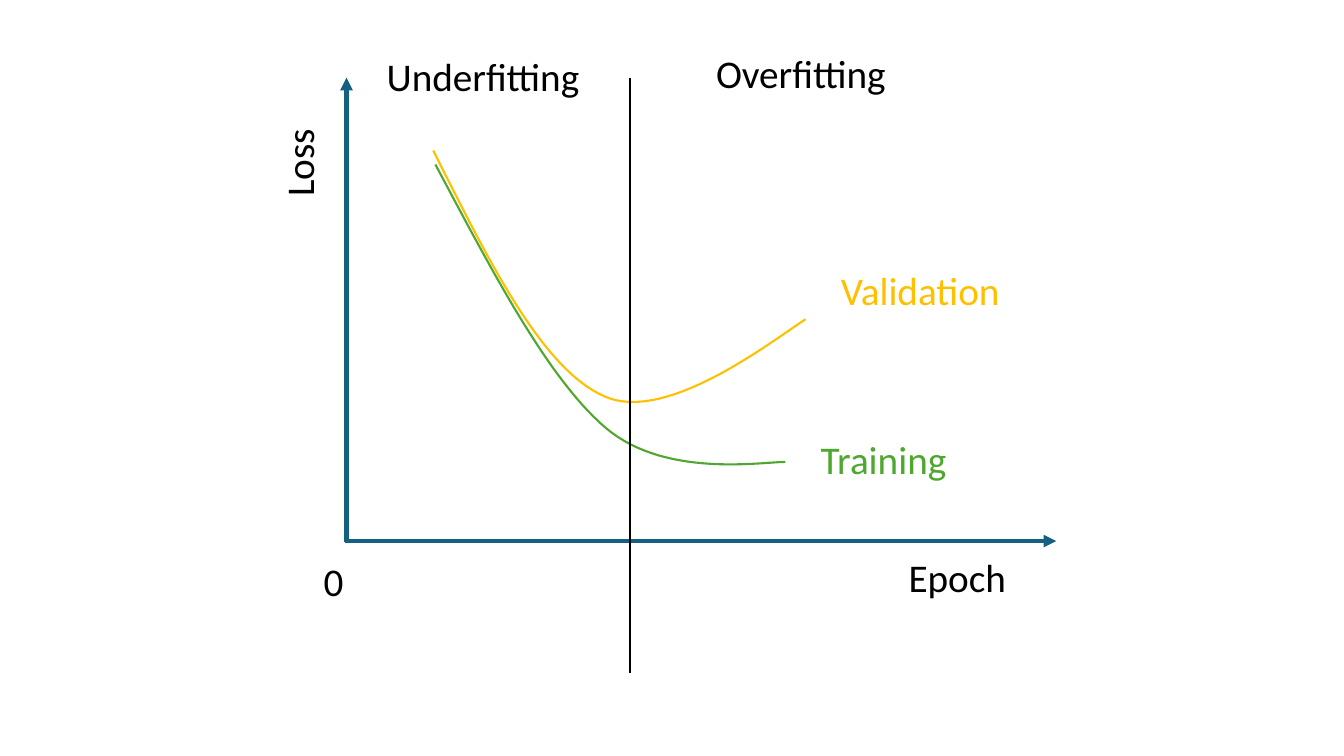
import pptx
import pptx.dml.color
import pptx.enum.shapes
import pptx.enum.text
import pptx.oxml.ns
import pptx.util
from lxml import etree

Pt = pptx.util.Pt
BLACK, AXIS_BLUE = "000000", "156082"
TRAINING_GREEN, VALIDATION_YELLOW = "4EA72E", "FFC000"

# Offsets from the top left of the plot: start, then control, control, end per bend
TRAINING_CURVE = [(63.5, 62), (104, 138), (143.5, 214.5), (185, 250),
                  (227, 286), (296, 274.5), (313.5, 274.5)]
VALIDATION_CURVE = [(62, 52), (101, 129.5), (139, 207.5), (184, 227.5),
                    (227.5, 247.5), (302, 189.5), (328, 172.5)]

# Text, left and top offset from the plot, width, height, colour, rotation
LABELS = [
    ("Epoch", 384, 336, 104.5, 98, BLACK, 0),
    ("Loss", -80.5, 34.5, 104.5, 53, BLACK, 270),
    ("0", -61.5, 339, 104.5, 53, BLACK, 0),
    ("Validation", 324, 131.5, 171.5, 53, VALIDATION_YELLOW, 0),
    ("Training", 292.5, 252, 182, 53, TRAINING_GREEN, 0),
    ("Underfitting", -7, -21.5, 209, 53, BLACK, 0),
    ("Overfitting", 220, -24, 209, 53, BLACK, 0),
]


def rgb(hex_colour):
    return pptx.dml.color.RGBColor.from_string(hex_colour)


def style_line(line, colour, width):
    line.color.rgb = rgb(colour)
    line.width = Pt(width)


def add_line(shapes, start, end, colour, width, arrow=False):
    connector = shapes.add_connector(
        pptx.enum.shapes.MSO_CONNECTOR.STRAIGHT,
        Pt(start[0]), Pt(start[1]), Pt(end[0]), Pt(end[1]))
    style_line(connector.line, colour, width)
    if arrow:
        outline = connector.line._get_or_add_ln()
        etree.SubElement(outline, pptx.oxml.ns.qn("a:tailEnd"), type="triangle")
    etree.SubElement(connector._element.spPr, pptx.oxml.ns.qn("a:effectLst"))


def bezier_points(knots, steps=30):
    """Sample a chain of cubic Bezier bends, leaving out the first knot."""
    points = []
    for first in range(0, len(knots) - 1, 3):
        bend = knots[first:first + 4]
        for step in range(1, steps + 1):
            t = step / steps
            weights = ((1 - t) ** 3, 3 * t * (1 - t) ** 2, 3 * t ** 2 * (1 - t), t ** 3)
            points.append(tuple(sum(w * knot[axis] for w, knot in zip(weights, bend))
                                for axis in (0, 1)))
    return points


def add_curve(shapes, left, top, knots, colour):
    start, *rest = [(Pt(left + x), Pt(top + y))
                    for x, y in [knots[0]] + bezier_points(knots)]
    builder = shapes.build_freeform(*start)
    builder.add_line_segments(rest, close=False)
    curve = builder.convert_to_shape()
    curve.shadow.inherit = False
    curve.fill.background()
    style_line(curve.line, colour, 1.5)


def add_label(shapes, text, left, top, width, height, colour, rotation):
    label = shapes.add_textbox(Pt(left), Pt(top), Pt(width), Pt(height))
    label.rotation = rotation
    label.text_frame.word_wrap = True
    label.text_frame.text = text
    paragraph = label.text_frame.paragraphs[0]
    paragraph.alignment = pptx.enum.text.PP_ALIGN.CENTER
    font = paragraph.runs[0].font
    font.name, font.size = "Calibri", Pt(28)
    font.color.rgb = rgb(colour)


def add_loss_plot(slide, left, top, width, height):
    shapes = slide.shapes.add_group_shape().shapes
    bottom = top + height
    add_line(shapes, (left - 1, bottom), (left + width, bottom), AXIS_BLUE, 3, arrow=True)
    add_line(shapes, (left, bottom + 1), (left, top), AXIS_BLUE, 3, arrow=True)
    add_curve(shapes, left, top, TRAINING_CURVE, TRAINING_GREEN)
    add_curve(shapes, left, top, VALIDATION_CURVE, VALIDATION_YELLOW)
    best_epoch = left + 202.5
    add_line(shapes, (best_epoch, top), (best_epoch, bottom + 94), BLACK, 2)
    for text, x, y, *look in LABELS:
        add_label(shapes, text, left + x, top + y, *look)


def main():
    presentation = pptx.Presentation()
    presentation.slide_width, presentation.slide_height = Pt(960), Pt(540)
    slide = presentation.slides.add_slide(presentation.slide_layouts[6])
    add_loss_plot(slide, left=247.5, top=55.5, width=507, height=331)
    presentation.save("out.pptx")


if __name__ == "__main__":
    main()
